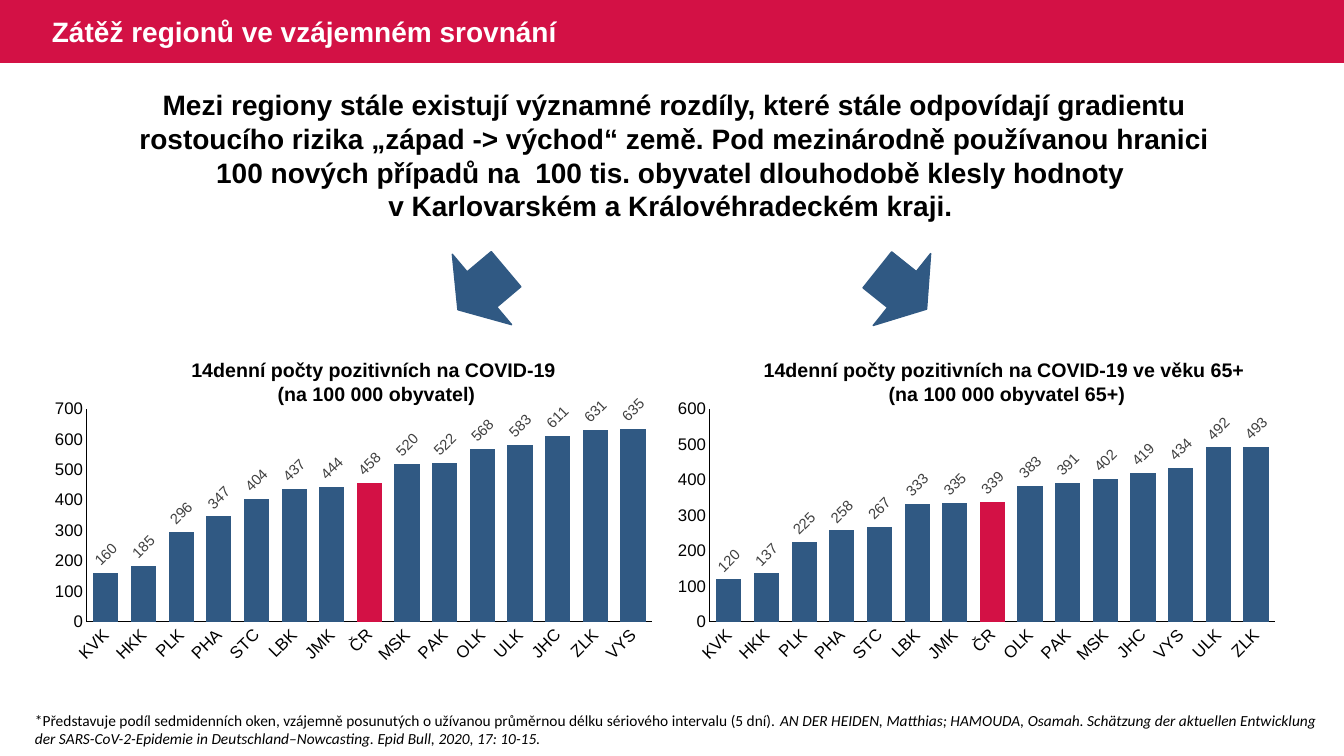
import pptx
import pptx.chart.data
import pptx.dml.color
import pptx.enum.chart
import pptx.enum.shapes
import pptx.enum.text
import pptx.oxml
import pptx.oxml.ns
import pptx.util
from dataclasses import dataclass

EMU_PER_PX = 914400 / 100.8
CHART_WIDTH, CHART_HEIGHT = 622, 275
PLOT_AREA = {"x": 45, "y": 15, "w": 565, "h": 213}
CENTER = pptx.enum.text.PP_ALIGN.CENTER
LEFT = pptx.enum.text.PP_ALIGN.LEFT


@dataclass(frozen=True)
class Theme:
    red: str = "D31145"
    blue: str = "305983"
    black: str = "000000"
    white: str = "FFFFFF"
    label_gray: str = "404040"
    heading_font: str = "Arial"
    note_font: str = "Calibri"
    heading_size: float = 20
    chart_title_size: float = 14
    axis_size: float = 12
    note_size: float = 11
    label_size: float = 10.5


THEME = Theme()


def px(length):
    return pptx.util.Emu(round(length * EMU_PER_PX))


def rgb(color):
    return pptx.dml.color.RGBColor.from_string(color)


def style_font(font, size, color, name=THEME.heading_font, bold=False):
    font.size = pptx.util.Pt(size)
    font.name = name
    font.bold = bold
    font.color.rgb = rgb(color)


def add_shape(slide, kind, box, color, rotation=0, line_width=0):
    shape = slide.shapes.add_shape(kind, *map(px, box))
    shape.shadow.inherit = False
    shape.fill.solid()
    shape.fill.fore_color.rgb = rgb(color)
    shape.rotation = rotation
    if line_width:
        shape.line.color.rgb = rgb(color)
        shape.line.width = pptx.util.Pt(line_width)
    else:
        shape.line.fill.background()


def add_text(slide, box, paragraphs, size, color=THEME.black,
             name=THEME.heading_font, bold=True, align=CENTER, middle=False):
    """Each paragraph is a list of (text, italic) runs."""
    frame = slide.shapes.add_textbox(*map(px, box)).text_frame
    frame.word_wrap = True
    if middle:
        frame.vertical_anchor = pptx.enum.text.MSO_ANCHOR.MIDDLE
    for index, runs in enumerate(paragraphs):
        paragraph = frame.add_paragraph() if index else frame.paragraphs[0]
        paragraph.alignment = align
        style_font(paragraph.font, size, color, name, bold)
        for text, italic in runs:
            run = paragraph.add_run()
            run.text = text
            if italic:
                run.font.italic = True


def slant_text(element):
    body = element.find(pptx.oxml.ns.qn("c:txPr")).find(pptx.oxml.ns.qn("a:bodyPr"))
    body.set("rot", "-2700000")
    body.set("vert", "horz")


def place_plot(chart):
    plot_area = chart._chartSpace.chart.plotArea
    for old_layout in plot_area.findall(pptx.oxml.ns.qn("c:layout")):
        plot_area.remove(old_layout)
    modes = '<c:xMode val="edge"/><c:yMode val="edge"/>'
    sides = {"x": CHART_WIDTH, "y": CHART_HEIGHT, "w": CHART_WIDTH, "h": CHART_HEIGHT}
    values = "".join(f'<c:{key} val="{PLOT_AREA[key] / whole:.4f}"/>'
                     for key, whole in sides.items())
    plot_area.insert(0, pptx.oxml.parse_xml(
        f'<c:layout {pptx.oxml.ns.nsdecls("c")}><c:manualLayout>'
        f'<c:layoutTarget val="inner"/>{modes}{values}</c:manualLayout></c:layout>'))


def style_axis(axis):
    axis.has_major_gridlines = False
    axis.major_tick_mark = pptx.enum.chart.XL_TICK_MARK.NONE
    axis.minor_tick_mark = pptx.enum.chart.XL_TICK_MARK.NONE
    style_font(axis.tick_labels.font, THEME.axis_size, THEME.black)
    axis.format.line.color.rgb = rgb(THEME.black)
    axis.format.line.width = pptx.util.Pt(0.75)


def add_region_chart(slide, left, top, regions, values, maximum):
    data = pptx.chart.data.CategoryChartData(number_format="#,##0")
    data.categories = regions
    data.add_series("Series 1", values)
    chart = slide.shapes.add_chart(
        pptx.enum.chart.XL_CHART_TYPE.COLUMN_CLUSTERED,
        px(left), px(top), px(CHART_WIDTH), px(CHART_HEIGHT), data).chart
    chart.has_legend = False
    chart.has_title = False
    style_font(chart.font, 10, THEME.black)
    place_plot(chart)

    # Axes
    style_axis(chart.category_axis)
    slant_text(chart.category_axis._element)
    style_axis(chart.value_axis)
    chart.value_axis.minimum_scale = 0
    chart.value_axis.maximum_scale = maximum
    chart.value_axis.major_unit = 100
    chart.value_axis.tick_labels.number_format = "#,##0"
    chart.value_axis.tick_labels.number_format_is_linked = False

    # Columns, with the national value highlighted
    plot = chart.plots[0]
    plot.vary_by_categories = False
    plot.gap_width = 50
    plot.overlap = -27
    series = plot.series[0]
    country = series.points[regions.index("ČR")]
    for item, color in ((series, THEME.blue), (country, THEME.red)):
        item.format.fill.solid()
        item.format.fill.fore_color.rgb = rgb(color)

    # Value labels
    labels = series.data_labels
    labels.show_value = True
    labels.number_format = "#,##0"
    labels.number_format_is_linked = False
    labels.position = pptx.enum.chart.XL_LABEL_POSITION.OUTSIDE_END
    style_font(labels.font, THEME.label_size, THEME.label_gray)
    slant_text(labels._element)


def main():
    presentation = pptx.Presentation()
    presentation.slide_width, presentation.slide_height = px(1344), px(756)
    slide = presentation.slides.add_slide(presentation.slide_layouts[6])
    shapes = pptx.enum.shapes.MSO_SHAPE

    # Title band
    add_shape(slide, shapes.RECTANGLE, (0, 0, 1344, 63), THEME.red)
    add_text(slide, (42, 0, 820, 63), [[("Zátěž regionů ve vzájemném srovnání", False)]],
             THEME.heading_size, THEME.white, align=LEFT, middle=True)

    # Key message
    add_text(slide, (109, 83, 1131, 146), [
        [("Mezi regiony stále existují významné rozdíly, které stále odpovídají gradientu "
          "rostoucího rizika „západ -> východ“ země. Pod mezinárodně používanou hranici "
          "100 nových případů na  100 tis. obyvatel dlouhodobě klesly hodnoty ", False)],
        [("v Karlovarském a Královéhradeckém kraji. ", False)]], THEME.heading_size)

    # Arrows to the two charts
    for left, rotation in ((436, 49.9), (856, 308.6)):
        add_shape(slide, shapes.DOWN_ARROW, (left, 258, 92, 63), THEME.blue, rotation, 1)

    # Chart titles
    for left, width, lines in (
            (132, 489, ("14denní počty pozitivních na COVID-19 ", "(na 100 000 obyvatel)")),
            (753, 508, ("14denní počty pozitivních na COVID-19 ve věku 65+ ",
                        "(na 100 000 obyvatel 65+)"))):
        add_text(slide, (left, 353, width, 57), [[(line, False)] for line in lines],
                 THEME.chart_title_size)

    # Charts
    shared = "KVK HKK PLK PHA STC LBK JMK ČR".split()
    add_region_chart(slide, 42, 394, shared + "MSK PAK OLK ULK JHC ZLK VYS".split(),
                     (160, 185, 296, 347, 404, 437, 444, 458,
                      520, 522, 568, 583, 611, 631, 635), 700)
    add_region_chart(slide, 665, 394, shared + "OLK PAK MSK JHC VYS ULK ZLK".split(),
                     (120, 137, 225, 258, 267, 333, 335, 339,
                      383, 391, 402, 419, 434, 492, 493), 600)

    # Footnote
    add_text(slide, (25, 706, 1319, 47), [[
        ("*Představuje podíl sedmidenních oken, vzájemně posunutých o užívanou průměrnou "
         "délku sériového intervalu (5 dní). ", False),
        ("AN DER HEIDEN, Matthias; HAMOUDA, Osamah. Schätzung der aktuellen Entwicklung "
         "der SARS-CoV-2-Epidemie in Deutschland–Nowcasting. Epid Bull, 2020, 17: 10-15.",
         True)]], THEME.note_size, name=THEME.note_font, bold=False, align=LEFT)

    presentation.save("out.pptx")


if __name__ == "__main__":
    main()
